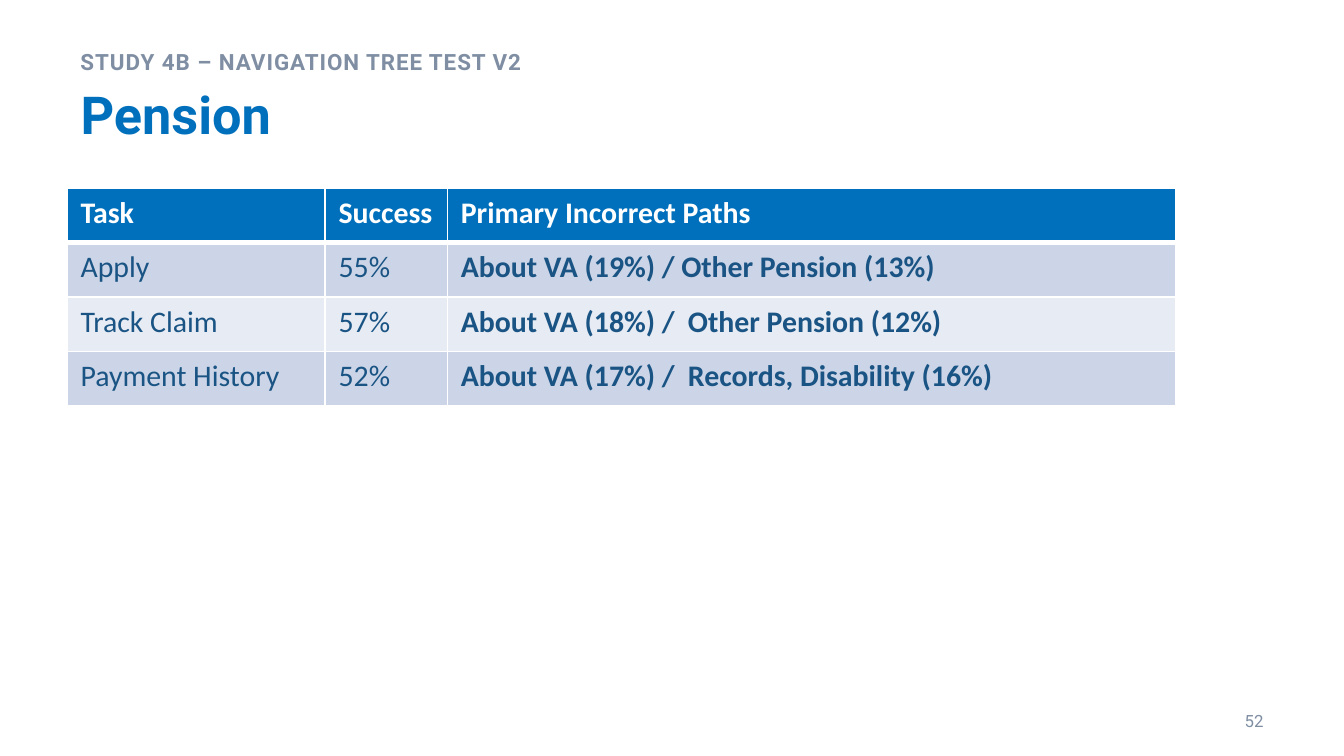
from lxml import etree
from pptx import Presentation
from pptx.dml.color import RGBColor
from pptx.enum.text import MSO_ANCHOR, PP_ALIGN
from pptx.oxml.ns import qn
from pptx.util import Inches, Pt

BLUE, NAVY, GRAY, WHITE = "0070BC", "1A5484", "7F8EA3", "FFFFFF"
BANDS = ["CCD5E7", "E7EBF3"]


def rgb(value):
    return RGBColor.from_string(value)


def write(tf, text, color, align=PP_ALIGN.LEFT, anchor=MSO_ANCHOR.TOP, **fmt):
    tf.word_wrap = True
    tf.vertical_anchor = anchor
    p = tf.paragraphs[0]
    p.alignment = align
    r = p.add_run()
    r.text = text
    r.font.color.rgb = rgb(color)
    for name, value in fmt.items():
        setattr(r.font, name, value)
    return p


# Widescreen 16:9 slide
prs = Presentation()
prs.slide_width = Inches(10)
prs.slide_height = prs.slide_width * 9 // 16
s = prs.slides.add_slide(prs.slide_layouts[5])
left, width = Inches(0.5), Inches(8.25)

# Title
title = s.shapes.title
title.left, title.top, title.width, title.height = left, Inches(0.56), width, Inches(0.69)
write(title.text_frame, "Pension", BLUE, name="Roboto", size=Pt(28), bold=True)

# Study label above the title
label = s.shapes.add_textbox(left, Inches(0.27), width, Inches(0.29))
p = write(label.text_frame, "STUDY 4B – NAVIGATION TREE TEST V2", GRAY,
          name="Roboto", size=Pt(12), bold=True)
p.line_spacing = 1.2
p.runs[0].font._element.set("spc", "50")

# Results table
rows = [
    ("Task", "Success", "Primary Incorrect Paths"),
    ("Apply", "55%", "About VA (19%) / Other Pension (13%)"),
    ("Track Claim", "57%", "About VA (18%) /  Other Pension (12%)"),
    ("Payment History", "52%", "About VA (17%) /  Records, Disability (16%)"),
]
table = s.shapes.add_table(len(rows), 3, left, Inches(1.4), width, Inches(1.62)).table
for col, w in zip(table.columns, (1.92, 0.91, 5.42)):
    col.width = Inches(w)
for i, row in enumerate(rows):
    header = i == 0
    for j, text in enumerate(row):
        cell = table.cell(i, j)
        write(cell.text_frame, text, WHITE if header else NAVY,
              name="Calibri", size=Pt(16), bold=header or j == 2)
        # White borders, heavier under the header
        if header:
            tc_pr = cell._tc.get_or_add_tcPr()
            for side, points in (("L", 1), ("R", 1), ("T", 1), ("B", 3)):
                ln = etree.SubElement(tc_pr, qn(f"a:ln{side}"), w=str(Pt(points)))
                fill = etree.SubElement(ln, qn("a:solidFill"))
                etree.SubElement(fill, qn("a:srgbClr"), val=WHITE)
        cell.fill.solid()
        cell.fill.fore_color.rgb = rgb(BLUE if header else BANDS[(i - 1) % 2])

# Page number
number = s.shapes.add_textbox(Inches(8.75), Inches(5.21), Inches(0.75), Inches(0.3))
write(number.text_frame, "52", GRAY, PP_ALIGN.RIGHT, MSO_ANCHOR.MIDDLE,
      name="Roboto", size=Pt(9))

prs.save("out.pptx")
